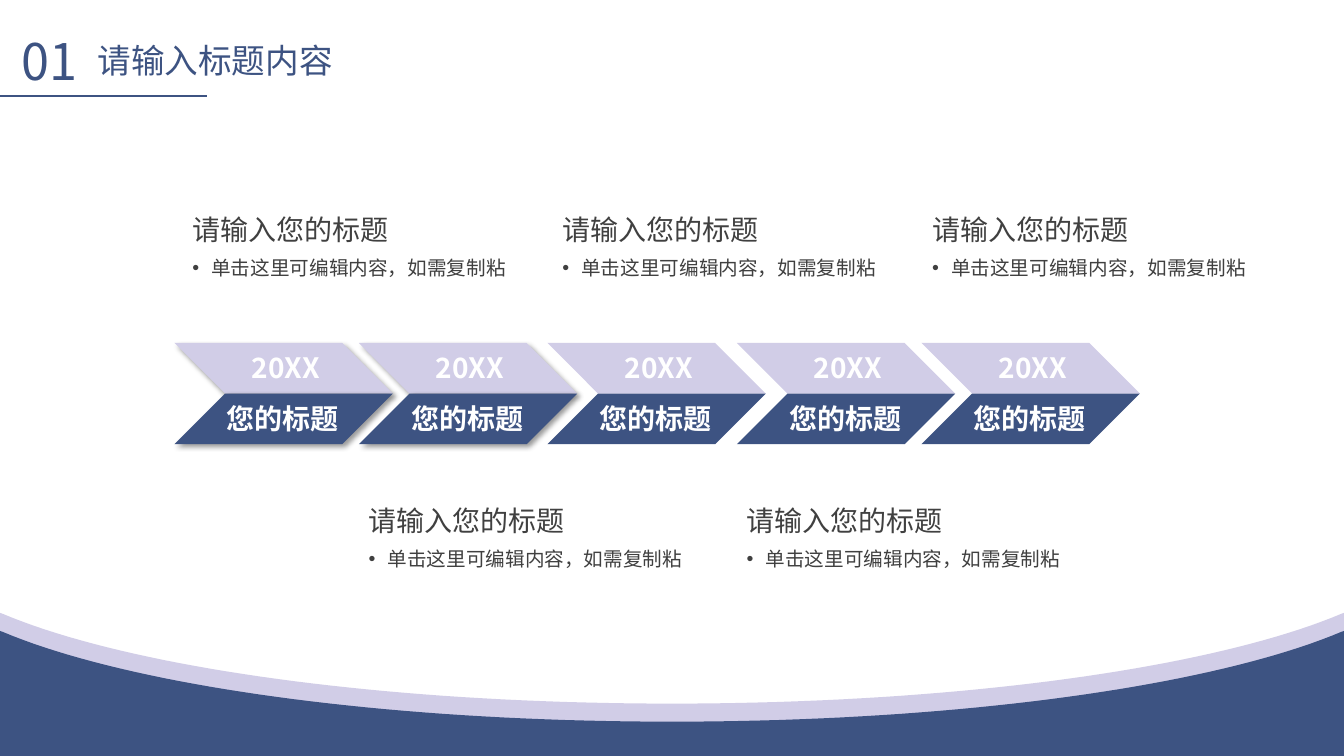
"""Build a slide with a five-step chevron timeline above a curved footer."""
from lxml import etree
from pptx import Presentation
from pptx import util as u
from pptx.dml import color
from pptx.enum import shapes, text
from pptx.oxml import ns

FONT = "Noto Sans CJK SC"
COLORS = {"navy": "3D5382", "lilac": "D1CDE7", "grey": "404040", "white": "FFFFFF", "black": "000000"}
STEP_LEFTS = (124.6, 256.3, 391, 526.3, 658.2)
CAPTION_LEFTS = (130.3, 256.3, 394.6, 526.3, 658.8)
SHADOWED_STEPS = 2
MIDLINE, HALF_HEIGHT, STEP_WIDTH = 281.1, 36.2, 156


def rgb(name):
    return color.RGBColor.from_string(COLORS[name])


def add_child(parent, tag, **attributes):
    return etree.SubElement(parent, ns.qn(tag), attributes)


def add_outline(slide, points, fill):
    """Draw a closed, filled polygon through the points."""
    corners = [(u.Pt(x), u.Pt(y)) for x, y in points]
    builder = slide.shapes.build_freeform(*corners[0])
    builder.add_line_segments(corners[1:], close=True)
    shape = builder.convert_to_shape()
    shape.shadow.inherit = False
    shape.fill.solid()
    shape.fill.fore_color.rgb = rgb(fill)
    shape.line.fill.background()
    return shape


def add_shadow(shape):
    effects = shape._element.spPr.find(ns.qn("a:effectLst"))
    shadow = add_child(effects, "a:outerShdw", blurRad=str(u.Pt(4)), dist=str(u.Pt(3)),
                       dir="2700000", algn="tl", rotWithShape="0")
    tint = add_child(shadow, "a:srgbClr", val=COLORS["black"])
    add_child(tint, "a:alpha", val="40000")


def add_label(slide, left, top, width, height, content, size, fill,
              bold=False, wrap=False, bullet=False):
    box = slide.shapes.add_textbox(u.Pt(left), u.Pt(top), u.Pt(width), u.Pt(height))
    frame = box.text_frame
    frame.word_wrap = wrap
    frame.auto_size = text.MSO_AUTO_SIZE.SHAPE_TO_FIT_TEXT
    paragraph = frame.paragraphs[0]
    if bullet:
        properties = paragraph._p.get_or_add_pPr()
        properties.set("marL", str(u.Pt(13.5)))
        properties.set("indent", str(u.Pt(-13.5)))
        add_child(properties, "a:buFont", typeface="Arial")
        add_child(properties, "a:buChar", char="•")
    run = paragraph.add_run()
    run.text = content
    run.font.size = u.Pt(size)
    run.font.bold = bold
    run.font.color.rgb = rgb(fill)
    run.font.name = FONT
    add_child(run._r.get_or_add_rPr(), "a:ea", typeface=FONT)


def add_wave(slide, top, fill):
    """Draw a footer band whose top edge sags to the middle of the slide."""
    ends = ((2, 0.7), (93, 39), (273, 64.8), (480, 64.8))
    left_half = [(0, top)]
    for step in range(41):
        t = step / 40
        weights = ((1 - t) ** 3, 3 * t * (1 - t) ** 2, 3 * t * t * (1 - t), t ** 3)
        x, drop = (sum(w * end[axis] for w, end in zip(weights, ends)) for axis in (0, 1))
        left_half.append((x, top + drop))
    right_half = [(960 - x, y) for x, y in reversed(left_half[:-1])]
    bottom = top + 89.3
    add_outline(slide, left_half + right_half + [(960, bottom), (0, bottom)], fill)


def add_header(slide):
    rule = slide.shapes.add_connector(shapes.MSO_CONNECTOR.STRAIGHT,
                                      u.Pt(0), u.Pt(68.7), u.Pt(147.8), u.Pt(68.7))
    rule.line.color.rgb = rgb("navy")
    rule.line.width = u.Pt(1)
    add_child(rule._element.spPr, "a:effectLst")
    add_label(slide, 8, 18, 56.9, 51, "01", 36, "navy")
    add_label(slide, 62.6, 25.2, 182.4, 36.4, "请输入标题内容", 24, "navy")


def add_step(slide, left, shadowed):
    """Draw one chevron from an upper and a lower half, with their labels."""
    for fill, edge in (("lilac", MIDLINE - HALF_HEIGHT), ("navy", MIDLINE + HALF_HEIGHT)):
        half = add_outline(slide, [(left + HALF_HEIGHT, MIDLINE), (left + STEP_WIDTH, MIDLINE),
                                   (left + STEP_WIDTH - HALF_HEIGHT, edge), (left, edge)], fill)
        if shadowed:
            add_shadow(half)
    add_label(slide, left + 48, 247, 67.7, 31.5, "20XX", 20, "white", bold=True)
    add_label(slide, left + 30.3, 283.5, 94.3, 31.5, "您的标题", 20, "white", bold=True)


def add_caption(slide, left, top):
    add_label(slide, left, top, 206.6, 31.5, "请输入您的标题", 20, "grey", wrap=True)
    add_label(slide, left, top + 31, 241.2, 24.2, "单击这里可编辑内容，如需复制粘", 14, "grey",
              wrap=True, bullet=True)


def main():
    presentation = Presentation()
    presentation.slide_width, presentation.slide_height = u.Pt(960), u.Pt(540)
    slide = presentation.slides.add_slide(presentation.slide_layouts[6])
    add_wave(slide, 437.8, "lilac")
    add_wave(slide, 450.7, "navy")
    add_header(slide)
    for index, left in enumerate(STEP_LEFTS):
        add_step(slide, left, index < SHADOWED_STEPS)
    for index, left in enumerate(CAPTION_LEFTS):
        add_caption(slide, left, 356.4 if index % 2 else 148.3)
    presentation.save("out.pptx")


if __name__ == "__main__":
    main()
